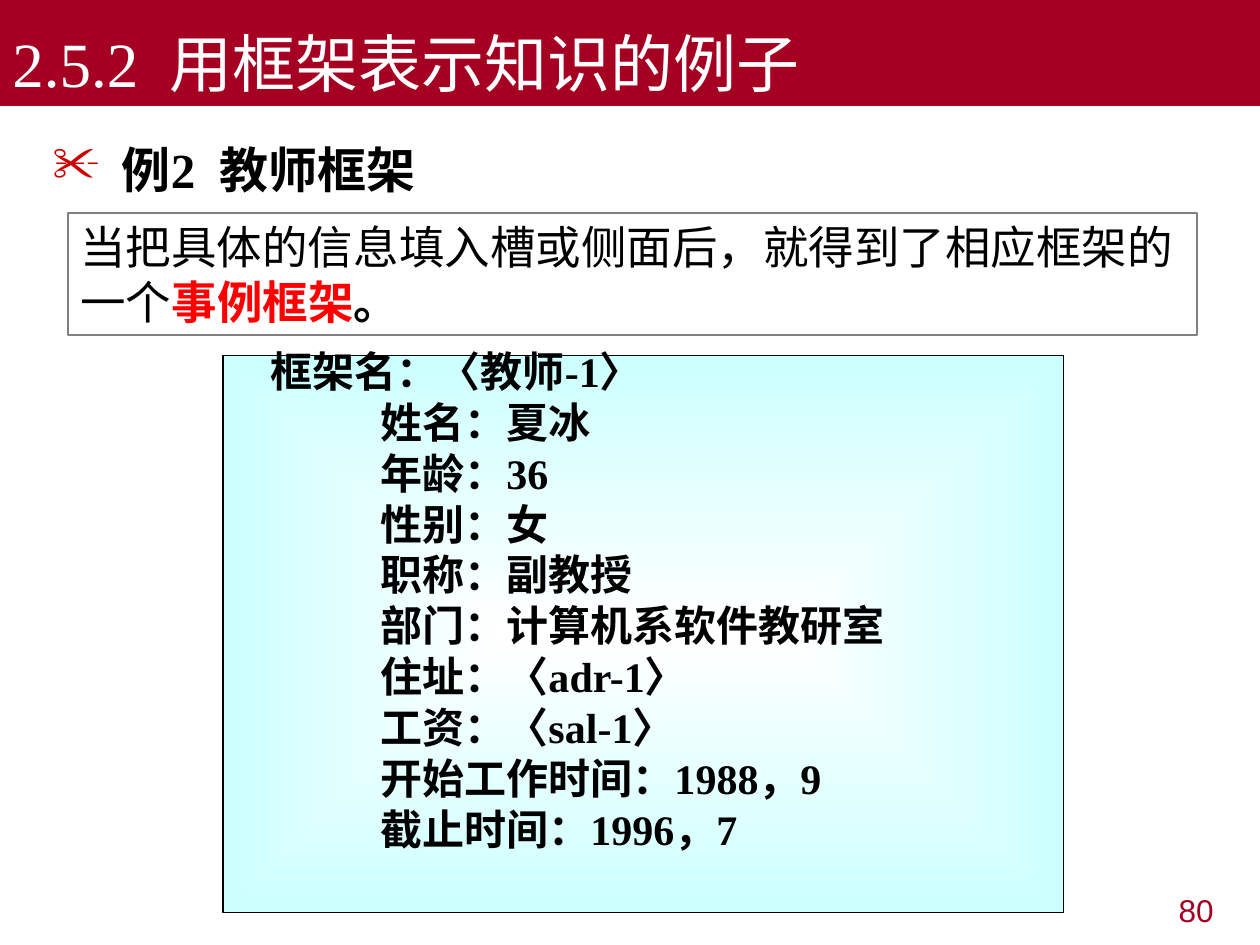
from lxml import etree
from pptx import Presentation, util as u
from pptx.dml.color import RGBColor
from pptx.enum import shapes, text
from pptx.oxml.ns import qn

SERIF, SANS = "Times New Roman", "Arial"
CRIMSON, BLACK, WHITE = "A50021", "000000", "FFFFFF"

TITLE = "2.5.2  用框架表示知识的例子"
HEADING = [("例2  ", SERIF), ("教师框架", SANS)]
EXPLANATION = [
    ("当把具体的信息填入槽或侧面后，就得到了相应框架的一个", BLACK, False),
    ("事例框架", "FF0000", True),
    ("。", BLACK, True),
]
FRAME_NAME = "框架名：〈教师-1〉"
SLOTS = [
    ("姓名", "夏冰"),
    ("年龄", "36"),
    ("性别", "女"),
    ("职称", "副教授"),
    ("部门", "计算机系软件教研室"),
    ("住址", "〈adr-1〉"),
    ("工资", "〈sal-1〉"),
    ("开始工作时间", "1988，9"),
    ("截止时间", "1996，7"),
]
PAGE = "80"


def rgb(value):
    return RGBColor.from_string(value)


def add_box(slide, at, fill=None, line=None, inset=(0.1, 0.05), anchor="TOP"):
    place = [u.Inches(length) for length in at]
    if fill or line:
        box = slide.shapes.add_shape(shapes.MSO_SHAPE.RECTANGLE, *place)
        box.shadow.inherit = False
        if line:
            box.line.color.rgb = rgb(line)
            box.line.width = u.Pt(0.75)
        else:
            box.line.fill.background()
    else:
        box = slide.shapes.add_textbox(*place)
    if fill:
        box.fill.solid()
        box.fill.fore_color.rgb = rgb(fill)
    across, down = map(u.Inches, inset)
    settings = dict(word_wrap=True, vertical_anchor=text.MSO_ANCHOR[anchor],
                    margin_left=across, margin_right=across,
                    margin_top=down, margin_bottom=down)
    for key, value in settings.items():
        setattr(box.text_frame, key, value)
    return box


def write(paragraph, runs, align="LEFT", **spacing):
    paragraph.alignment = text.PP_ALIGN[align]
    for key, value in spacing.items():
        setattr(paragraph, key, value)
    for wording, font, size, color, bold in runs:
        run = paragraph.add_run()
        run.text = wording
        for key, value in dict(name=font, size=u.Pt(size), bold=bold).items():
            setattr(run.font, key, value)
        run.font.color.rgb = rgb(color)


def indent(paragraph, left, first=0):
    props = paragraph._p.get_or_add_pPr()
    props.set("marL", str(u.Inches(left)))
    props.set("indent", str(u.Inches(first)))
    return props


def add_bullet(props, mark, color):
    tint = etree.SubElement(props, qn("a:buClr"))
    etree.SubElement(tint, qn("a:srgbClr"), val=color)
    etree.SubElement(props, qn("a:buChar"), char=mark)


def fill_from_centre(box, inner, outer):
    box.fill.gradient()
    for stop, color, position in zip(box.fill.gradient_stops, (inner, outer), (0, 1)):
        stop.color.rgb = rgb(color)
        stop.position = position
    gradient = box._element.spPr.find(qn("a:gradFill"))
    gradient.remove(gradient.find(qn("a:lin")))
    route = etree.SubElement(gradient, qn("a:path"), path="rect")
    etree.SubElement(route, qn("a:fillToRect"), dict.fromkeys("ltrb", "50000"))


def main():
    deck = Presentation()
    deck.slide_width, deck.slide_height = u.Inches(10), u.Inches(7.5)
    slide = deck.slides.add_slide(deck.slide_layouts[6])

    page = add_box(slide, (7.4, 7.02, 2.33, 0.52))
    write(page.text_frame.paragraphs[0], [(PAGE, SANS, 18, CRIMSON, False)], "RIGHT")

    banner = add_box(slide, (0, 0, 10, 0.84), CRIMSON, anchor="BOTTOM")
    write(banner.text_frame.paragraphs[0], [(TITLE, SERIF, 36, WHITE, False)])

    card = add_box(slide, (1.77, 2.82, 6.67, 4.42), WHITE, BLACK, inset=(0, 0))
    fill_from_centre(card, WHITE, "CCFFFF")
    rows = [(FRAME_NAME, 0.38)] + [(f"{slot}：{value}", 1.25) for slot, value in SLOTS]
    for index, (wording, left) in enumerate(rows):
        frame = card.text_frame
        paragraph = frame.add_paragraph() if index else frame.paragraphs[0]
        indent(paragraph, left)
        write(paragraph, [(wording, SERIF, 24, BLACK, True)],
              line_spacing=0.8, space_before=u.Pt(6 if index else 0))

    heading = add_box(slide, (0.32, 1.01, 3.63, 0.62))
    paragraph = heading.text_frame.paragraphs[0]
    add_bullet(indent(paragraph, 0.55, -0.55), "✂", "CC0000")
    write(paragraph, [(wording, font, 28, BLACK, True) for wording, font in HEADING],
          line_spacing=1.1)

    explanation = add_box(slide, (0.54, 1.69, 8.96, 0.97), WHITE, "808080")
    write(explanation.text_frame.paragraphs[0],
          [(wording, SANS, 26, color, bold) for wording, color, bold in EXPLANATION])

    deck.save("out.pptx")


if __name__ == "__main__":
    main()
